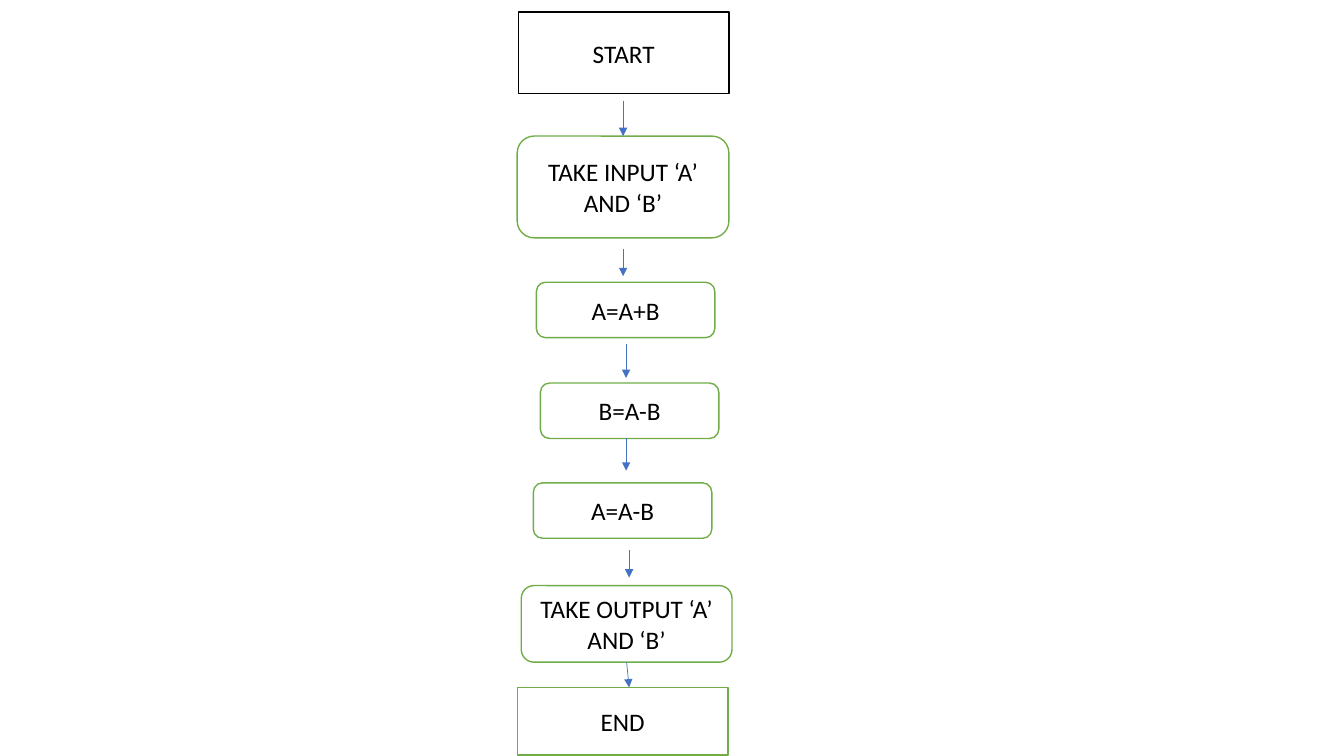
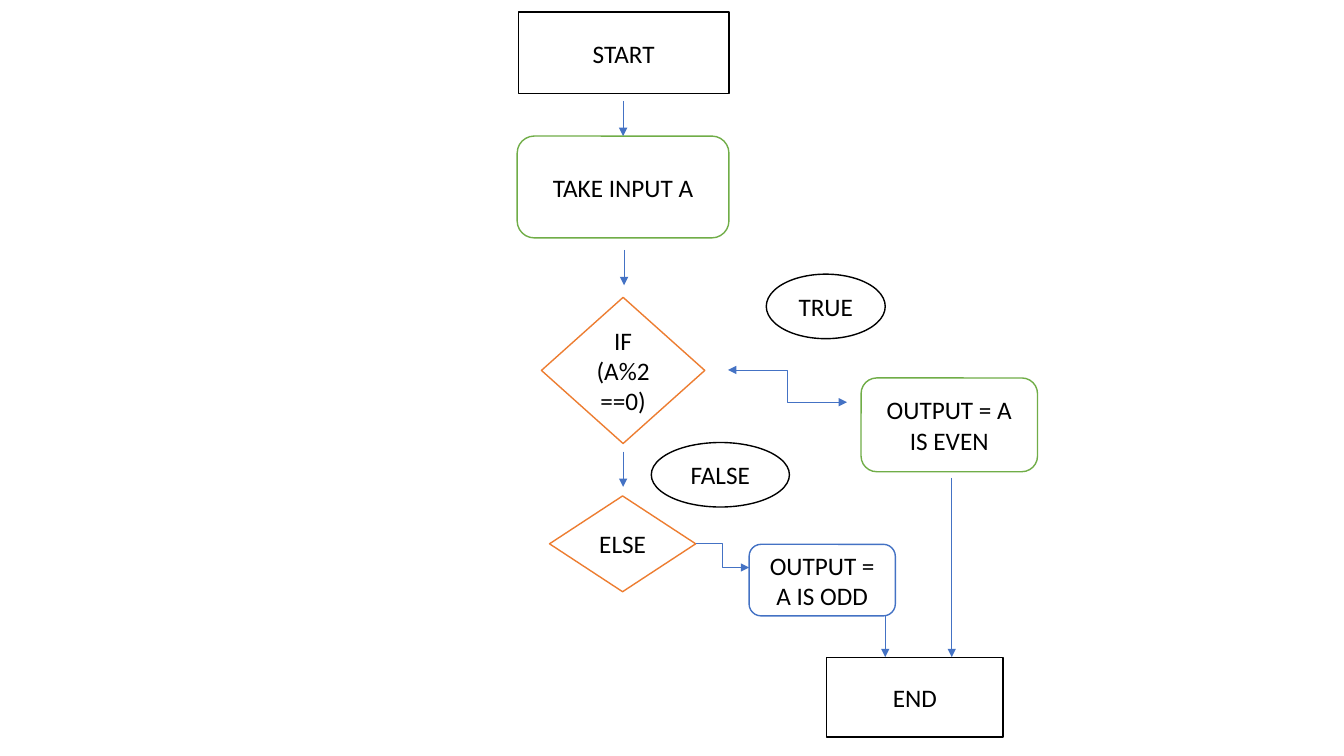
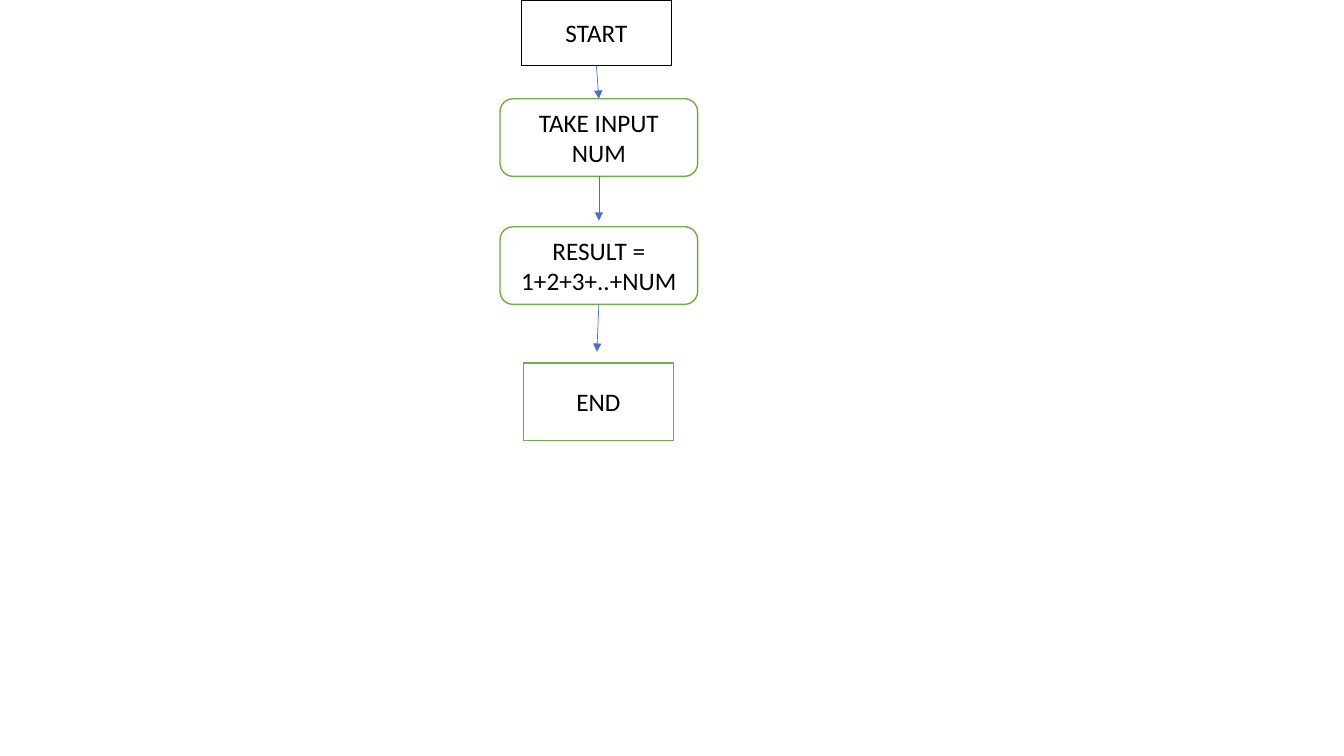
from lxml import etree
from pptx import Presentation
from pptx import util as u
from pptx.dml.color import RGBColor
from pptx.enum import shapes, text
from pptx.oxml.ns import qn

PX = 9144
WIDE, HIGH = 1333, 750
WHITE, BLACK, BLUE = "FFFFFF", "000000", "4472C4"
GREEN, ORANGE = "70AD47", "ED7D31"
TOP, LEFT, BOTTOM, RIGHT = range(4)

KIND = shapes.MSO_SHAPE
STYLES = {
    "start": (KIND.RECTANGLE, BLACK),
    "end": (KIND.RECTANGLE, GREEN),
    "step": (KIND.ROUNDED_RECTANGLE, GREEN),
    "odd": (KIND.ROUNDED_RECTANGLE, BLUE),
    "test": (KIND.FLOWCHART_DECISION, ORANGE),
    "label": (KIND.OVAL, BLACK),
}
FONT = {"name": "Calibri", "size": u.Pt(18)}
FRAME = {"word_wrap": True, "vertical_anchor": text.MSO_ANCHOR.MIDDLE}

SWAP = {
    "boxes": [
        ("start", "START", 514, 12, 209, 81),
        ("step", "TAKE INPUT ‘A’ AND ‘B’", 513, 135, 210, 101),
        ("step", "A=A+B", 532, 280, 177, 55),
        ("step", "B=A-B", 536, 380, 177, 55),
        ("step", "A=A-B", 529, 479, 177, 55),
        ("step", "TAKE OUTPUT ‘A’ AND ‘B’", 517, 581, 209, 76),
        ("end", "END", 513, 682, 209, 67),
    ],
    "links": [
        ((618, 100), ("TAKE INPUT ‘A’ AND ‘B’", TOP)),
        ((618, 247), (618, 274)),
        ((621, 341), (621, 375)),
        ((621, 435), (621, 467)),
        ((624, 546), (624, 573)),
        (("TAKE OUTPUT ‘A’ AND ‘B’", BOTTOM), (624, 682)),
    ],
}
PARITY = {
    "boxes": [
        ("start", "START", 514, 12, 209, 81),
        ("step", "TAKE INPUT A", 513, 135, 210, 101),
        ("test", "IF (A%2==0)", 537, 295, 162, 145),
        ("step", "OUTPUT = A IS EVEN", 854, 375, 175, 93),
        ("label", "TRUE", 760, 272, 118, 64),
        ("test", "ELSE", 545, 492, 145, 95),
        ("label", "FALSE", 646, 439, 137, 64),
        ("odd", "OUTPUT = A IS ODD", 743, 540, 145, 71),
        ("start", "END", 820, 652, 175, 79),
    ],
    "links": [
        ((618, 100), ("TAKE INPUT A", TOP)),
        ((619, 248), (619, 283)),
        ((618, 448), (618, 483)),
        ((944, 474), (944, 652)),
        ((722, 367), (840, 399), "ELBOW", ("headEnd", "tailEnd")),
        (("ELSE", RIGHT), (743, 563), "ELBOW"),
        ((878, 611), (878, 652)),
    ],
}
TOTAL = {
    "boxes": [
        ("start", "START", 517, 0, 149, 65),
        ("step", "TAKE INPUT NUM", 496, 98, 196, 77),
        ("step", "RESULT = 1+2+3+..+NUM", 496, 225, 196, 77),
        ("end", "END", 519, 360, 149, 77),
    ],
    "links": [
        (("START", BOTTOM), ("TAKE INPUT NUM", TOP)),
        (("TAKE INPUT NUM", BOTTOM), (594, 219)),
        (("RESULT = 1+2+3+..+NUM", BOTTOM), (592, 349)),
    ],
}


def paint(hue):
    return RGBColor.from_string(hue)


def apply(item, values):
    for name, value in values.items():
        setattr(item, name, value)


def stroke(line, hue, width):
    line.color.rgb = paint(hue)
    line.width = u.Pt(width)


def draw_box(slide, style, words, *place):
    kind, hue = STYLES[style]
    box = slide.shapes.add_shape(kind, *(n * PX for n in place))
    box.shadow.inherit = False
    box.fill.solid()
    box.fill.fore_color.rgb = paint(WHITE)
    stroke(box.line, hue, 1)
    apply(box.text_frame, FRAME)
    para = box.text_frame.paragraphs[0]
    para.alignment = text.PP_ALIGN.CENTER
    run = para.add_run()
    run.text = words
    apply(run.font, FONT)
    run.font.color.rgb = paint(BLACK)
    return box


def draw_link(slide, boxes, start, stop, kind="STRAIGHT", heads=("tailEnd",)):
    joined = [end[0] in boxes for end in (start, stop)]
    spots = [(0, 0) if tied else end for tied, end in zip(joined, (start, stop))]
    link = slide.shapes.add_connector(
        shapes.MSO_CONNECTOR[kind], *(n * PX for spot in spots for n in spot))
    joins = (link.begin_connect, link.end_connect)
    for tied, end, join in zip(joined, (start, stop), joins):
        if tied:
            join(boxes[end[0]], end[1])
    stroke(link.line, BLUE, 0.5)
    line = link.line._get_or_add_ln()
    for head in heads:
        etree.SubElement(line, qn("a:" + head), type="triangle")
    etree.SubElement(link._element.spPr, qn("a:effectLst"))


def main():
    deck = Presentation()
    apply(deck, {"slide_width": WIDE * PX, "slide_height": HIGH * PX})
    for chart in (SWAP, PARITY, TOTAL):
        slide = deck.slides.add_slide(deck.slide_layouts[6])
        boxes = {box[1]: draw_box(slide, *box) for box in chart["boxes"]}
        for link in chart["links"]:
            draw_link(slide, boxes, *link)
    deck.save("out.pptx")


if __name__ == "__main__":
    main()
